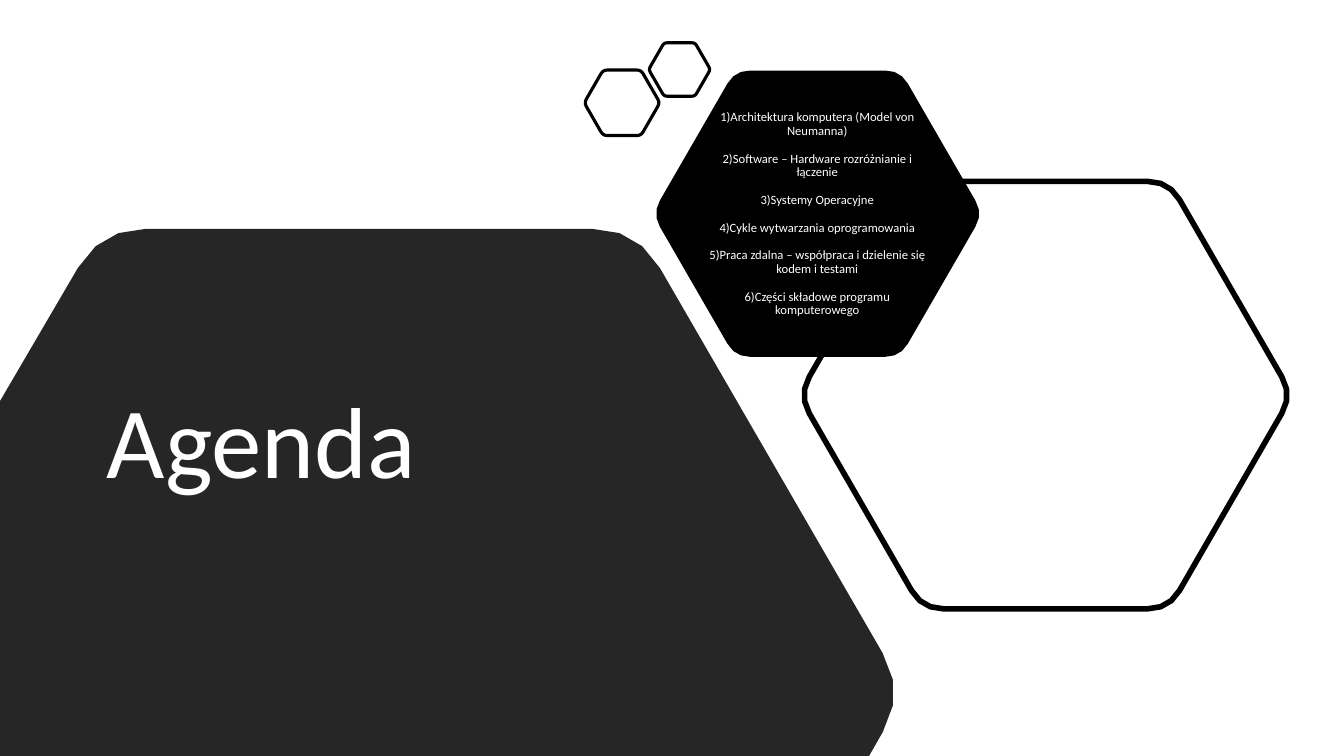
"""Builds an agenda slide set among rounded hexagons."""
import dataclasses
import math

import pptx
import pptx.dml.color
import pptx.enum.text
import pptx.util

Inches = pptx.util.Inches
Pt = pptx.util.Pt


@dataclasses.dataclass(frozen=True)
class Theme:
    """Colours, font and type sizes of the slide."""
    black: str = "000000"
    charcoal: str = "262626"
    white: str = "FFFFFF"
    font: str = "Calibri"
    title_size: float = 72
    agenda_size: float = 9
    line_spacing: float = 0.9
    paragraph_gap: float = 10


THEME = Theme()
CORNER_STEPS = 3
AGENDA = (
    "1)Architektura komputera (Model von Neumanna)",
    "2)Software – Hardware rozróżnianie i łączenie",
    "3)Systemy Operacyjne",
    "4)Cykle wytwarzania oprogramowania",
    "5)Praca zdalna – współpraca i dzielenie się kodem i testami",
    "6)Części składowe programu komputerowego",
)


def rgb(colour):
    """Return a colour object for a hexadecimal string."""
    return pptx.dml.color.RGBColor.from_string(colour)


def toward(start, end, distance):
    """Return the point at a distance from start on the way to end."""
    share = distance / math.dist(start, end)
    return tuple(a + (b - a) * share for a, b in zip(start, end))


def round_corner(before, corner, after, cut):
    """Return the points of a curve that replaces a corner."""
    if cut == 0:
        return [corner]
    first, last = toward(corner, before, cut), toward(corner, after, cut)
    steps = [step / CORNER_STEPS for step in range(CORNER_STEPS + 1)]
    return [
        tuple((1 - t) ** 2 * a + 2 * t * (1 - t) * b + t ** 2 * c
              for a, b, c in zip(first, corner, last))
        for t in steps
    ]


def add_rounded_polygon(slide, corners, cuts, fill=None, line_width=None):
    """Add a polygon with rounded corners, either filled or outlined."""
    points = []
    for index, corner in enumerate(corners):
        after = corners[(index + 1) % len(corners)]
        points += round_corner(corners[index - 1], corner, after, cuts[index])
    points = [(Inches(x), Inches(y)) for x, y in points]
    builder = slide.shapes.build_freeform(*points[0])
    builder.add_line_segments(points[1:])
    shape = builder.convert_to_shape()
    shape.shadow.inherit = False
    if fill:
        shape.fill.solid()
        shape.fill.fore_color.rgb = rgb(fill)
    else:
        shape.fill.background()
    if line_width:
        shape.line.color.rgb = rgb(THEME.black)
        shape.line.width = Pt(line_width)
    else:
        shape.line.fill.background()
    return shape


def add_hexagon(slide, center, height, cut, **style):
    """Add a regular hexagon with rounded corners."""
    radius = height / math.sqrt(3)
    corners = [
        (center[0] + radius * math.cos(side * math.pi / 3),
         center[1] + radius * math.sin(side * math.pi / 3))
        for side in range(6)
    ]
    return add_rounded_polygon(slide, corners, [cut] * 6, **style)


def format_text(frame, size, alignment):
    """Format all the text of a frame."""
    frame.word_wrap = True
    frame.auto_size = pptx.enum.text.MSO_AUTO_SIZE.NONE
    frame.vertical_anchor = pptx.enum.text.MSO_ANCHOR.MIDDLE
    for paragraph in frame.paragraphs:
        paragraph.alignment = alignment
        paragraph.line_spacing = THEME.line_spacing
        for run in paragraph.runs:
            run.font.name = THEME.font
            run.font.size = Pt(size)
            run.font.color.rgb = rgb(THEME.white)


def place_title(slide, text):
    """Place the title over the charcoal hexagon."""
    title = slide.shapes.title
    title.left, title.top = Inches(0.96), Inches(3.24)
    title.width, title.height = Inches(5.6), Inches(3.57)
    title.text_frame.text = text
    title.text_frame.margin_bottom = Inches(1.25)
    format_text(title.text_frame, THEME.title_size, pptx.enum.text.PP_ALIGN.LEFT)
    title.element.getparent().append(title.element)


def add_agenda(slide, items):
    """Add the agenda points over the black hexagon."""
    box = slide.shapes.add_textbox(Inches(6.89), Inches(1.47), Inches(2.43), Inches(1.31))
    frame = box.text_frame
    frame.text = "\n".join(items)
    format_text(frame, THEME.agenda_size, pptx.enum.text.PP_ALIGN.CENTER)
    for paragraph in frame.paragraphs:
        paragraph.space_before = Pt(THEME.paragraph_gap)


def main():
    """Build and save the slide."""
    presentation = pptx.Presentation()
    presentation.slide_width = Inches(13.33)
    presentation.slide_height = Inches(7.5)
    slide = presentation.slides.add_slide(presentation.slide_layouts[5])

    add_hexagon(slide, (10.37, 3.92), 4.24, 0.21, line_width=4)
    add_hexagon(slide, (8.11, 2.12), 2.84, 0.15, fill=THEME.black)
    cropped_hexagon = [(0, 3.98), (1, 2.27), (6.32, 2.27), (8.98, 6.87), (8.62, 7.5), (0, 7.5)]
    add_rounded_polygon(slide, cropped_hexagon, [0, 0.45, 0.45, 0.45, 0, 0], fill=THEME.charcoal)
    place_title(slide, "Agenda")
    add_agenda(slide, AGENDA)
    small_hexagons = [
        add_hexagon(slide, (6.17, 1.02), 0.65, 0.04, line_width=2.25),
        add_hexagon(slide, (6.74, 0.69), 0.53, 0.03, line_width=2.25),
    ]
    slide.shapes.add_group_shape(small_hexagons)

    presentation.save("out.pptx")


if __name__ == "__main__":
    main()
